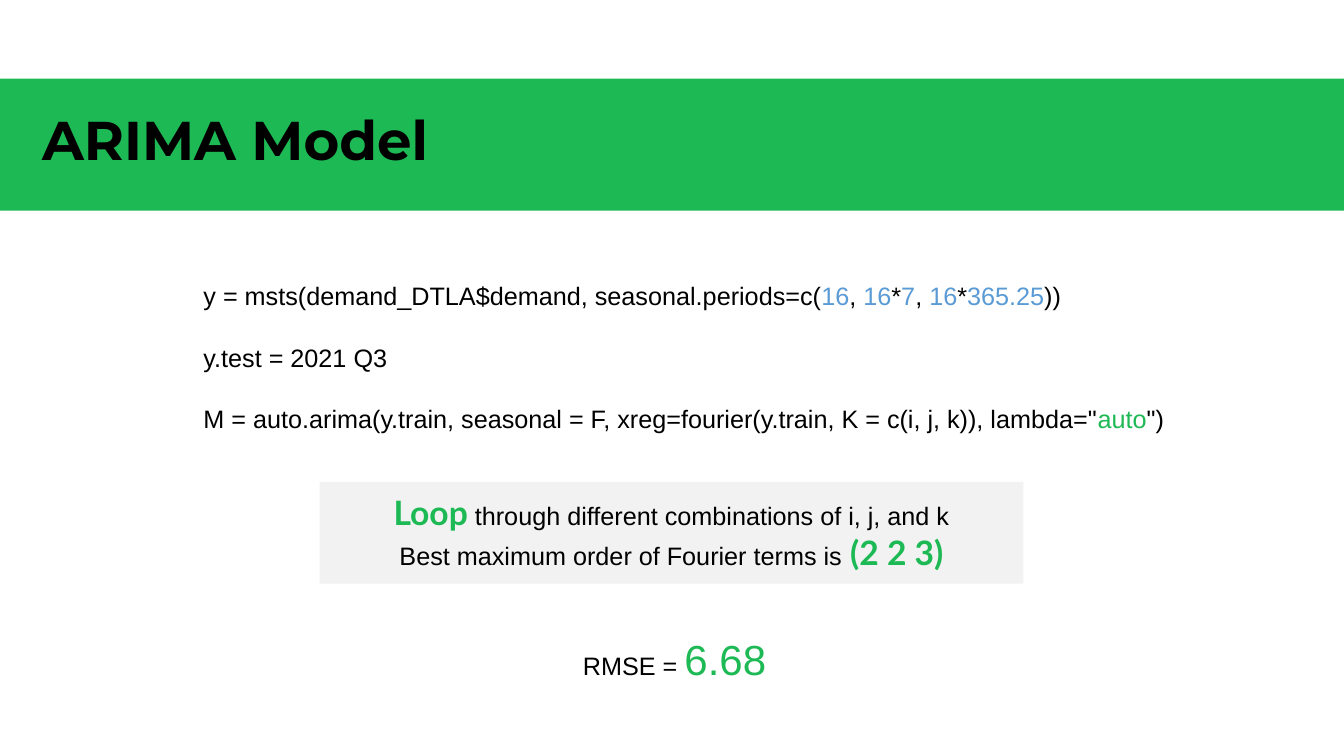
import pptx
import pptx.dml.color
import pptx.enum.shapes
import pptx.enum.text
import pptx.util
from pptx.util import Inches

GREEN, BLUE, BLACK, GREY = "1DB954", "5B9BD5", "000000", "F2F2F2"
ALIGN = pptx.enum.text.PP_ALIGN
ANCHOR = pptx.enum.text.MSO_ANCHOR


def color(value):
    return pptx.dml.color.RGBColor.from_string(value)


def set_font(font, size=18, name="Arial", fill=BLACK, bold=False):
    font.size = pptx.util.Pt(size)
    font.name = name
    font.bold = bold
    font.color.rgb = color(fill)


class SlideBuilder:
    """Holds the text style and the current slide."""

    def __init__(self, page):
        self.page = page

    def bar(self, left, top, width, height, fill):
        shape = self.page.shapes.add_shape(
            pptx.enum.shapes.MSO_SHAPE.RECTANGLE,
            Inches(left), Inches(top), Inches(width), Inches(height))
        shape.shadow.inherit = False
        shape.fill.solid()
        shape.fill.fore_color.rgb = color(fill)
        shape.line.fill.background()
        return shape

    def text(self, left, top, width, height, lines, **options):
        box = self.page.shapes.add_textbox(
            Inches(left), Inches(top), Inches(width), Inches(height))
        self.fill_text(box, lines, **options)
        return box

    def fill_text(self, shape, lines, align=ALIGN.LEFT, anchor=ANCHOR.TOP, gap=0, **style):
        """Fill a shape; each line is a list of strings or (string, style) pairs."""
        frame = shape.text_frame
        frame.word_wrap = True
        frame.vertical_anchor = anchor
        frame.margin_left = frame.margin_right = Inches(0.1)
        frame.margin_top = frame.margin_bottom = Inches(0.1)
        for index, line in enumerate(lines):
            para = frame.paragraphs[0] if index == 0 else frame.add_paragraph()
            para.alignment = align
            if index and gap:
                para.space_before = pptx.util.Pt(gap)
            set_font(para.font, **style)
            for part in line:
                words, own_style = (part, None) if isinstance(part, str) else part
                span = para.add_run()
                span.text = words
                if own_style:
                    set_font(span.font, **own_style)


def main():
    deck = pptx.Presentation()
    deck.slide_width, deck.slide_height = Inches(13.33), Inches(7.5)
    builder = SlideBuilder(deck.slides.add_slide(deck.slide_layouts[6]))

    builder.bar(0, 0.78, 13.33, 1.31, GREEN)
    title = builder.text(0.32, 0.76, 12.7, 1.31, [["ARIMA Model"]],
                         anchor=ANCHOR.MIDDLE, size=39, name="Montserrat", bold=True)
    title.text_frame.paragraphs[0].line_spacing = 0.9

    number = {"fill": BLUE}
    builder.text(1.92, 2.68, 11.3, 1.72, [
        ["y = msts(demand_DTLA$demand, seasonal.periods=c(", ("16", number), ", ",
         ("16", number), "*", ("7", number), ", ",
         ("16", number), "*", ("365.25", number), "))"],
        ["y.test = 2021 Q3"],
        ["M = auto.arima(y.train, seasonal = F, xreg=fourier(y.train, K = c(i, j, k)), lambda=\"",
         ("auto", {"fill": GREEN}), "\")"],
    ], gap=22.5)

    strong = {"size": 24, "name": "Lato", "fill": GREEN, "bold": True}
    panel = builder.bar(3.17, 4.78, 6.98, 1.01, GREY)
    builder.fill_text(panel, [
        [("Loop", strong), " through different combinations of i, j, and k"],
        ["Best maximum order of Fourier terms is", (" (2 2 3)", strong)],
    ], align=ALIGN.CENTER)

    builder.text(5.05, 6.18, 3.28, 0.71,
                 [["RMSE = ", ("6.68", {"size": 30, "fill": GREEN})]],
                 align=ALIGN.CENTER)

    deck.save("out.pptx")


if __name__ == "__main__":
    main()
